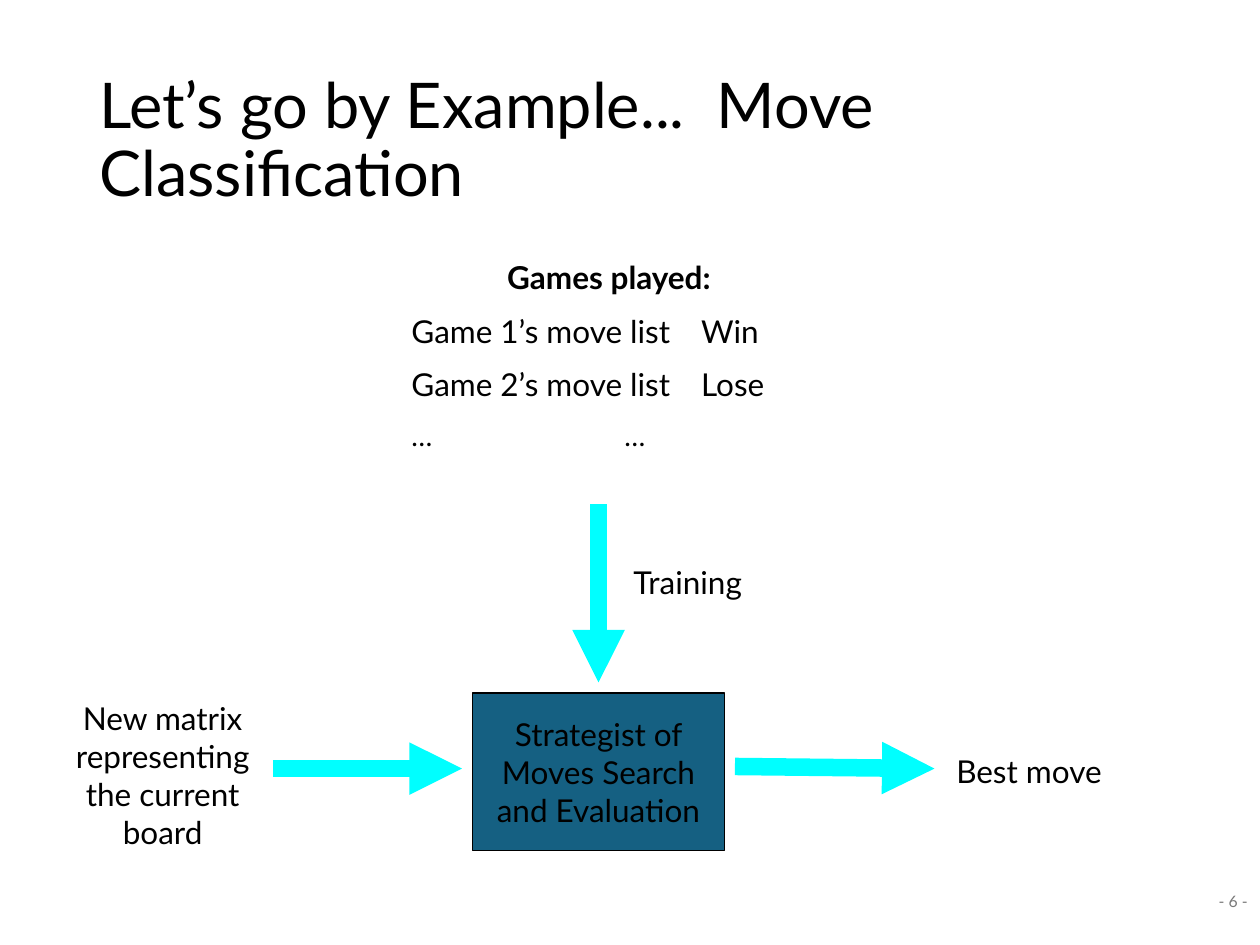
"""Build the move classification slide: games train a strategist that picks a move."""
from dataclasses import dataclass

from lxml import etree
from pptx import Presentation
from pptx.dml.color import RGBColor
from pptx.enum.shapes import MSO_CONNECTOR, MSO_SHAPE
from pptx.enum.text import MSO_ANCHOR, PP_ALIGN
from pptx.oxml.ns import qn
from pptx.util import Inches, Pt

LEFT, CENTER, RIGHT = PP_ALIGN.LEFT, PP_ALIGN.CENTER, PP_ALIGN.RIGHT
TOP, MIDDLE = MSO_ANCHOR.TOP, MSO_ANCHOR.MIDDLE
RECT, STRAIGHT = MSO_SHAPE.RECTANGLE, MSO_CONNECTOR.STRAIGHT

FONT = "Lato"
COLORS = {"text": "000000", "muted": "797979", "box": "156082", "arrow": "00FFFF"}
UNIT = Inches(10) // 120


@dataclass(frozen=True)
class Area:
    col: float
    row: float
    cols: float
    rows: float

    def emu(self) -> list[int]:
        return [round(n * UNIT) for n in (self.col, self.row, self.cols, self.rows)]


@dataclass(frozen=True)
class Label:
    text: str
    area: Area


@dataclass(frozen=True)
class Arrow:
    col1: float
    row1: float
    col2: float
    row2: float


@dataclass(frozen=True)
class GameRow:
    moves: str
    result: str
    tab: float
    size: int = 18


TITLE = Label("Let’s go by Example...  Move Classification", Area(8.28, 4.8, 103.44, 17.4))
PAGE = Label("- 6 -", Area(93, 83.4, 27, 4.8))
STRATEGIST = Label("Strategist of Moves Search and Evaluation", Area(45, 66, 24, 15))
GAMES = Label("Games played:", Area(38, 24, 40, 21.2))
LABELS = [
    Label("New matrix representing the current board", Area(4, 66, 23, 12.1)),
    Label("Best move", Area(87, 71, 22, 4.8)),
    Label("Training", Area(54, 53, 23, 4.8)),
]
GAME_ROWS = [
    GameRow("Game 1’s move list", "Win", 2.3),
    GameRow("Game 2’s move list", "Lose", 2.3),
    GameRow("…", "…", 1.69, 16),
]
ARROWS = [
    Arrow(26, 73.2, 44, 73.2),
    Arrow(57, 48, 57, 65),
    Arrow(70, 73, 89, 73.2),
]


def rgb(name: str) -> RGBColor:
    return RGBColor.from_string(COLORS[name])


def write(p, text: str, *, size=18, color="text", bold=False, align=CENTER,
          before=None, spacing=None) -> None:
    p.alignment = align
    if before is not None:
        p.space_before = Pt(before)
    if spacing is not None:
        p.line_spacing = spacing
    r = p.add_run()
    r.text = text
    r.font.name, r.font.size, r.font.bold = FONT, Pt(size), bold
    r.font.color.rgb = rgb(color)


def add_text(slide, label: Label, anchor=TOP, **fmt):
    tf = slide.shapes.add_textbox(*label.area.emu()).text_frame
    tf.word_wrap, tf.vertical_anchor = True, anchor
    write(tf.paragraphs[0], label.text, **fmt)
    return tf


def add_box(slide, label: Label) -> None:
    sp = slide.shapes.add_shape(RECT, *label.area.emu())
    sp.shadow.inherit = False
    sp.fill.solid()
    sp.fill.fore_color.rgb = rgb("box")
    sp.line.color.rgb = rgb("text")
    sp.line.width = Pt(0.75)
    tf = sp.text_frame
    tf.word_wrap, tf.vertical_anchor = True, MIDDLE
    write(tf.paragraphs[0], label.text)


def add_arrow(slide, arrow: Arrow) -> None:
    ends = (arrow.col1, arrow.row1, arrow.col2, arrow.row2)
    cxn = slide.shapes.add_connector(STRAIGHT, *(round(n * UNIT) for n in ends))
    cxn.line.color.rgb = rgb("arrow")
    cxn.line.width = Pt(10)
    etree.SubElement(cxn.line._get_or_add_ln(), qn("a:tailEnd"), type="triangle")
    etree.SubElement(cxn._element.spPr, qn("a:effectLst"))


def add_game_row(tf, row: GameRow) -> None:
    p = tf.add_paragraph()
    write(p, f"{row.moves}\t{row.result}", size=row.size, align=LEFT, before=9)
    tabs = etree.SubElement(p._p.get_or_add_pPr(), qn("a:tabLst"))
    etree.SubElement(tabs, qn("a:tab"), pos=str(Inches(row.tab)), algn="l")


def main() -> None:
    prs = Presentation()
    prs.slide_width, prs.slide_height = Inches(10), Inches(7.5)
    slide = prs.slides.add_slide(prs.slide_layouts[6])
    add_text(slide, TITLE, MIDDLE, size=36, align=LEFT, spacing=0.9)
    add_text(slide, PAGE, MIDDLE, size=9, color="muted", align=RIGHT)
    add_box(slide, STRATEGIST)
    for label in LABELS:
        add_text(slide, label)
    games = add_text(slide, GAMES, bold=True)
    for row in GAME_ROWS:
        add_game_row(games, row)
    for arrow in ARROWS:
        add_arrow(slide, arrow)
    prs.save("out.pptx")


if __name__ == "__main__":
    main()
